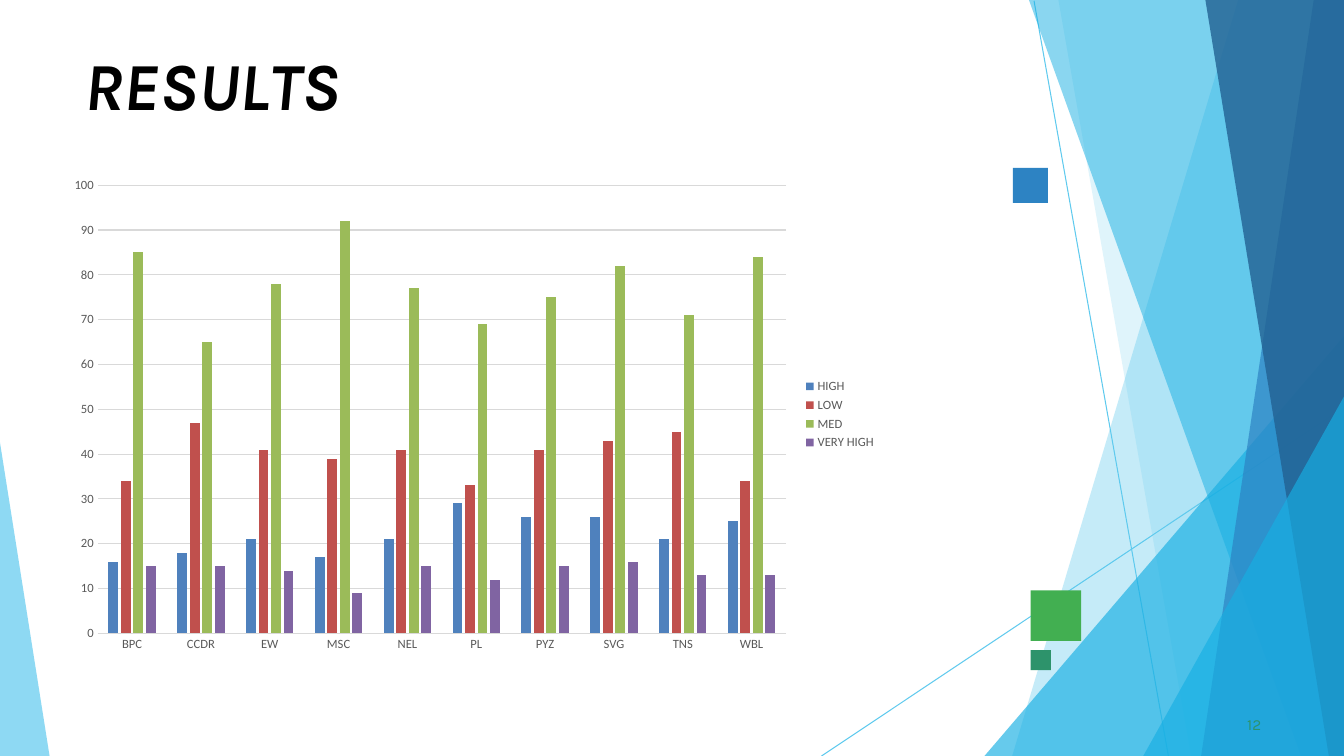
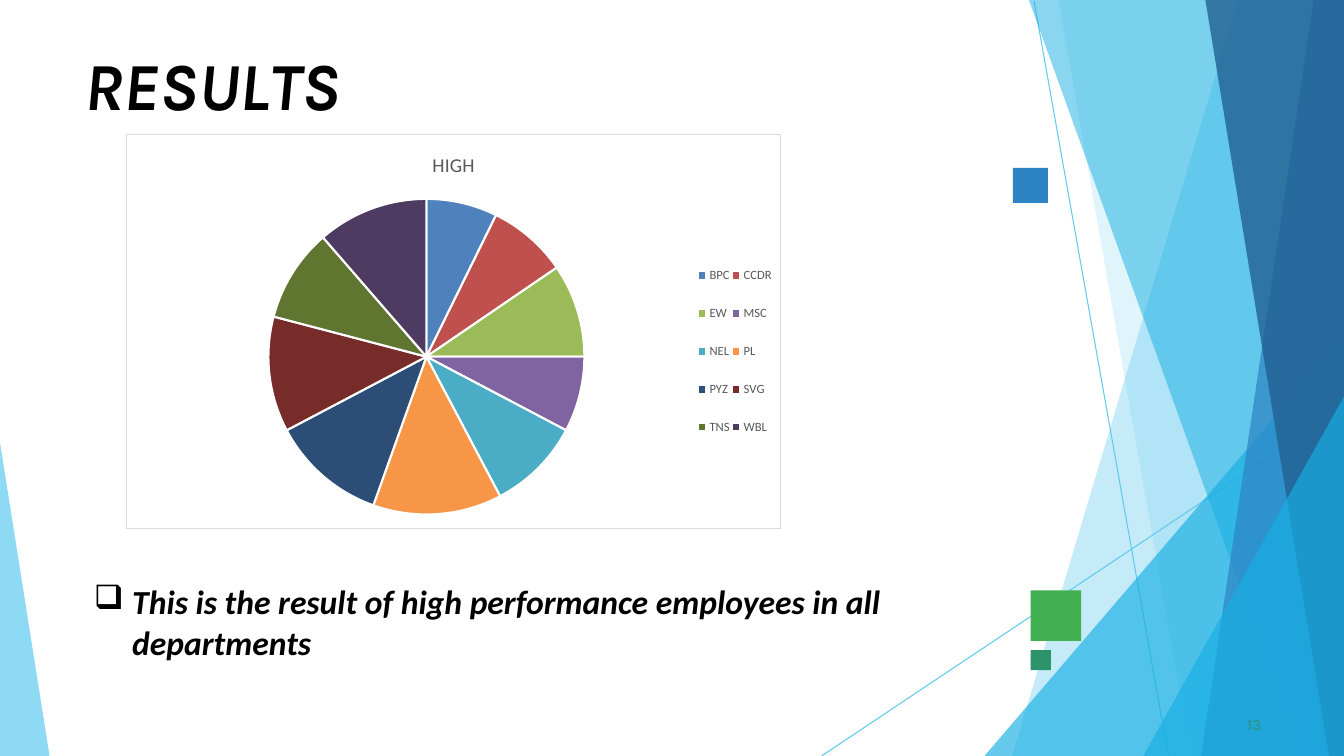
import pptx
import pptx.chart.data
import pptx.dml.color
import pptx.enum.chart
import pptx.enum.shapes
import pptx.enum.text
import pptx.oxml
import pptx.oxml.ns
import pptx.util

RGB = pptx.dml.color.RGBColor
Pt = pptx.util.Pt
qn = pptx.oxml.ns.qn
ChartType = pptx.enum.chart.XL_CHART_TYPE

# Colours
BLACK = RGB(0x00, 0x00, 0x00)
WHITE = RGB(0xFF, 0xFF, 0xFF)
SKY = RGB(0x5F, 0xCA, 0xEE)
CYAN = RGB(0x17, 0xAF, 0xE3)
BLUE = RGB(0x2D, 0x83, 0xC3)
NAVY = RGB(0x22, 0x61, 0x92)
GREEN = RGB(0x42, 0xAF, 0x51)
TEAL = RGB(0x2D, 0x93, 0x6B)
GREY_TEXT = RGB(0x59, 0x59, 0x59)
GREY_LINE = RGB(0xD9, 0xD9, 0xD9)
SERIES_COLOURS = [RGB.from_string(code) for code in (
    "4F81BD", "C0504D", "9BBB59", "8064A2", "4BACC6",
    "F79646", "2C4D75", "772C2A", "5F7530", "4D3B62")]

# Grid: one cell is a twelfth of an inch
COLUMNS, ROWS = 160, 90
CELL = pptx.util.Inches(1) // 12

# Text styles
TITLE = {"name": "Karla", "size": Pt(48), "bold": True, "italic": True}
NUMBER = {"name": "Karla", "size": Pt(11)}
FINDING = {"name": "Calibri", "size": Pt(24), "bold": True, "italic": True}
LABEL = {"name": "Calibri", "size": Pt(9), "bold": False}
CHART_TITLE = {"name": "Calibri", "size": Pt(14), "bold": False}
CHART_BASE = {"name": "Calibri", "size": Pt(10)}

# Background: lines as end points, facets as corners with opacity in percent
RAYS = [((123.1, 0.1), (139.1, ROWS)), ((COLUMNS, 48.5), (97.8, ROWS))]
RIGHT_FACETS = [  # top left corner, bottom left column, colour, opacity
    ((147.4, 0), 120.5, SKY, 36),
    ((126, 0), 141.8, SKY, 20),
    ((COLUMNS, 40), 117.2, CYAN, 66),
    ((122.5, 0), 154.9, CYAN, 50),
    ((156.4, 0), 143, BLUE, 70),
    ((143.5, 0), 158.2, NAVY, 80),
    ((COLUMNS, 47.2), 136.1, CYAN, 66),
]
LEFT_FACET = [(0, 52.7), (0, ROWS), (5.9, ROWS)]
SQUARES = [(122.7, 70.3, 6, GREEN), (120.6, 20, 4.15, BLUE),
           (122.7, 77.4, 2.4, TEAL)]

# Content
TITLE_RUNS = [("R", 0), ("E", -0.4), ("S", 0.1), ("U", -0.3), ("L", -4), ("TS", 0)]
DEPARTMENTS = ["BPC", "CCDR", "EW", "MSC", "NEL", "PL", "PYZ", "SVG", "TNS", "WBL"]
PERFORMANCE = {
    "HIGH": [16, 18, 21, 17, 21, 29, 26, 26, 21, 25],
    "LOW": [34, 47, 41, 39, 41, 33, 41, 43, 45, 34],
    "MED": [85, 65, 78, 92, 77, 69, 75, 82, 71, 84],
    "VERY HIGH": [15, 15, 14, 9, 15, 12, 15, 16, 13, 13],
}


def cells(*counts):
    return [round(count * CELL) for count in counts]


def apply_formats(target, formats):
    for attribute, value in formats.items():
        setattr(target, attribute, value)


def style_font(font, formats, colour):
    apply_formats(font, formats)
    font.color.rgb = colour


def style_line(line, colour, width=0.75):
    line.color.rgb = colour
    line.width = Pt(width)


def manual_layout(shares, inner=False):
    """Chart layout from left, top, width and height as shares of the chart."""
    target = '<c:layoutTarget val="inner"/>' if inner else ""
    modes = '<c:xMode val="edge"/><c:yMode val="edge"/>'
    sizes = "".join(f'<c:{key} val="{share}"/>' for key, share in zip("xywh", shares))
    return pptx.oxml.parse_xml(
        f'<c:layout {pptx.oxml.ns.nsdecls("c")}><c:manualLayout>'
        f"{target}{modes}{sizes}</c:manualLayout></c:layout>")


class Deck:
    """Holds the shared style and the current slide."""

    def __init__(self):
        self.presentation = pptx.Presentation()
        self.presentation.slide_width, self.presentation.slide_height = cells(COLUMNS, ROWS)
        self.slide = None

    def start_slide(self, number):
        self.slide = self.presentation.slides.add_slide(
            self.presentation.slide_layouts[6])
        self.background()
        self.text((10, 5, 41, 9.8), TITLE_RUNS, TITLE, BLACK, before=1.1)
        self.text((148, 85, 3, 2.3), [(number, 0.1)], NUMBER, TEAL,
                  before=0.6, indent=0.04)

    def background(self):
        for start, end in RAYS:
            self.ray(start, end)
        for top_left, bottom_column, colour, opacity in RIGHT_FACETS:
            corners = [top_left, (bottom_column, ROWS), (COLUMNS, ROWS)]
            if top_left[0] < COLUMNS:
                corners.append((COLUMNS, 0))
            self.facet(corners, colour, opacity)
        self.facet(LEFT_FACET, SKY, 70)
        for left, top, side, colour in SQUARES:
            self.square(left, top, side, colour)

    def ray(self, start, end):
        ray = self.slide.shapes.add_connector(
            pptx.enum.shapes.MSO_CONNECTOR.STRAIGHT, *cells(*start, *end))
        style_line(ray.line, SKY)
        ray._element.spPr.append(pptx.oxml.parse_xml(
            f'<a:effectLst {pptx.oxml.ns.nsdecls("a")}/>'))

    def fill_plain(self, shape, colour):
        shape.shadow.inherit = False
        shape.fill.solid()
        shape.fill.fore_color.rgb = colour
        shape.line.fill.background()

    def facet(self, corners, colour, opacity):
        points = [cells(*corner) for corner in corners]
        builder = self.slide.shapes.build_freeform(*points[0], scale=1.0)
        builder.add_line_segments(points[1:], close=True)
        facet = builder.convert_to_shape()
        self.fill_plain(facet, colour)
        tint = facet._element.spPr.find(".//" + qn("a:srgbClr"))
        tint.makeelement(qn("a:alpha"))
        pptx.oxml.ns  # namespace map used by qn
        alpha = pptx.oxml.parse_xml(
            f'<a:alpha {pptx.oxml.ns.nsdecls("a")} val="{opacity * 1000}"/>')
        tint.append(alpha)

    def square(self, left, top, side, colour):
        square = self.slide.shapes.add_shape(
            pptx.enum.shapes.MSO_SHAPE.RECTANGLE, *cells(left, top, side, side))
        self.fill_plain(square, colour)

    def text_frame(self, box, formats):
        frame = self.slide.shapes.add_textbox(*cells(*box)).text_frame
        apply_formats(frame, formats)
        return frame

    def text(self, box, runs, formats, colour, before, indent=0.01):
        frame = self.text_frame(box, {
            "margin_left": 0, "margin_right": 0, "margin_bottom": 0,
            "margin_top": pptx.util.Inches(0.01), "word_wrap": True})
        line = frame.paragraphs[0]
        line.space_before = Pt(before)
        line._p.get_or_add_pPr().set("marL", str(pptx.util.Inches(indent)))
        for letters, spacing in runs:
            run = line.add_run()
            run.text = letters
            style_font(run.font, formats, colour)
            run._r.get_or_add_rPr().set("spc", str(round(spacing * 100)))

    def bullet(self, box, finding, symbol="❑", hang=0.38):
        frame = self.text_frame(box, {"word_wrap": True})
        line = frame.paragraphs[0]
        run = line.add_run()
        run.text = finding
        style_font(run.font, FINDING, BLACK)
        properties = line._p.get_or_add_pPr()
        properties.set("marL", str(pptx.util.Inches(hang)))
        properties.set("indent", str(-pptx.util.Inches(hang)))
        properties.append(pptx.oxml.parse_xml(
            f'<a:buChar {pptx.oxml.ns.nsdecls("a")} char="{symbol}"/>'))

    def chart(self, kind, box, levels, plot_shares):
        data = pptx.chart.data.CategoryChartData()
        data.categories = DEPARTMENTS
        for level in levels:
            data.add_series(level, PERFORMANCE[level])
        chart = self.slide.shapes.add_chart(kind, *cells(*box), data).chart
        style_font(chart.font, CHART_BASE, BLACK)
        chart.has_title = False
        chart.has_legend = True
        apply_formats(chart.legend, {
            "position": pptx.enum.chart.XL_LEGEND_POSITION.RIGHT,
            "include_in_layout": False})
        style_font(chart.legend.font, LABEL, GREY_TEXT)
        plot_area = chart._chartSpace.chart.plotArea
        for automatic in plot_area.findall(qn("c:layout")):
            plot_area.remove(automatic)
        plot_area.insert(0, manual_layout(plot_shares, inner=True))
        return chart

    def column_chart(self, box, levels):
        chart = self.chart(ChartType.COLUMN_CLUSTERED, box, levels,
                           (0.047, 0.035, 0.832, 0.909))
        apply_formats(chart.plots[0], {
            "gap_width": 219, "overlap": -27, "vary_by_categories": False})
        for series, colour in zip(chart.plots[0].series, SERIES_COLOURS):
            series.format.fill.solid()
            series.format.fill.fore_color.rgb = colour
        for axis in (chart.category_axis, chart.value_axis):
            apply_formats(axis, {
                "major_tick_mark": pptx.enum.chart.XL_TICK_MARK.NONE,
                "minor_tick_mark": pptx.enum.chart.XL_TICK_MARK.NONE})
            style_font(axis.tick_labels.font, LABEL, GREY_TEXT)
        style_line(chart.category_axis.format.line, GREY_LINE)
        apply_formats(chart.value_axis, {
            "minimum_scale": 0, "maximum_scale": 100, "major_unit": 10,
            "has_major_gridlines": True})
        chart.value_axis.format.line.fill.background()
        style_line(chart.value_axis.major_gridlines.format.line, GREY_LINE)

    def pie_chart(self, box, level):
        chart = self.chart(ChartType.PIE, box, [level], (0.217, 0.162, 0.483, 0.803))
        chart.has_title = True
        heading = chart.chart_title.text_frame
        heading.text = level
        style_font(heading.paragraphs[0].runs[0].font, CHART_TITLE, GREY_TEXT)
        chart.chart_title.include_in_layout = False
        chart.plots[0].vary_by_categories = True
        for index, colour in enumerate(SERIES_COLOURS):
            wedge = chart.plots[0].series[0].points[index].format
            wedge.fill.solid()
            wedge.fill.fore_color.rgb = colour
            style_line(wedge.line, WHITE, 1.5)
        # Two-column legend
        legend = chart.legend._element
        for automatic in legend.findall(qn("c:layout")):
            legend.remove(automatic)
        legend.find(qn("c:legendPos")).addnext(
            manual_layout((0.87, 0.28, 0.12, 0.54)))
        # Framed white chart area
        chart._chartSpace.chart.addnext(pptx.oxml.parse_xml(
            f'<c:spPr {pptx.oxml.ns.nsdecls("c", "a")}>'
            f'<a:solidFill><a:srgbClr val="{WHITE}"/></a:solidFill>'
            f'<a:ln w="{Pt(0.75)}"><a:solidFill><a:srgbClr val="{GREY_LINE}"/>'
            "</a:solidFill></a:ln></c:spPr>"))


def main():
    deck = Deck()

    # All performance levels by department
    deck.start_slide("12")
    deck.column_chart((7, 20, 98.5, 58.7), list(PERFORMANCE))

    # High performers by department
    deck.start_slide("13")
    deck.pie_chart((15, 16, 78, 47), "HIGH")
    deck.bullet((10, 68.6, 98.3, 10.9),
                "This is the result of high performance employees in all departments")

    deck.presentation.save("out.pptx")


if __name__ == "__main__":
    main()
